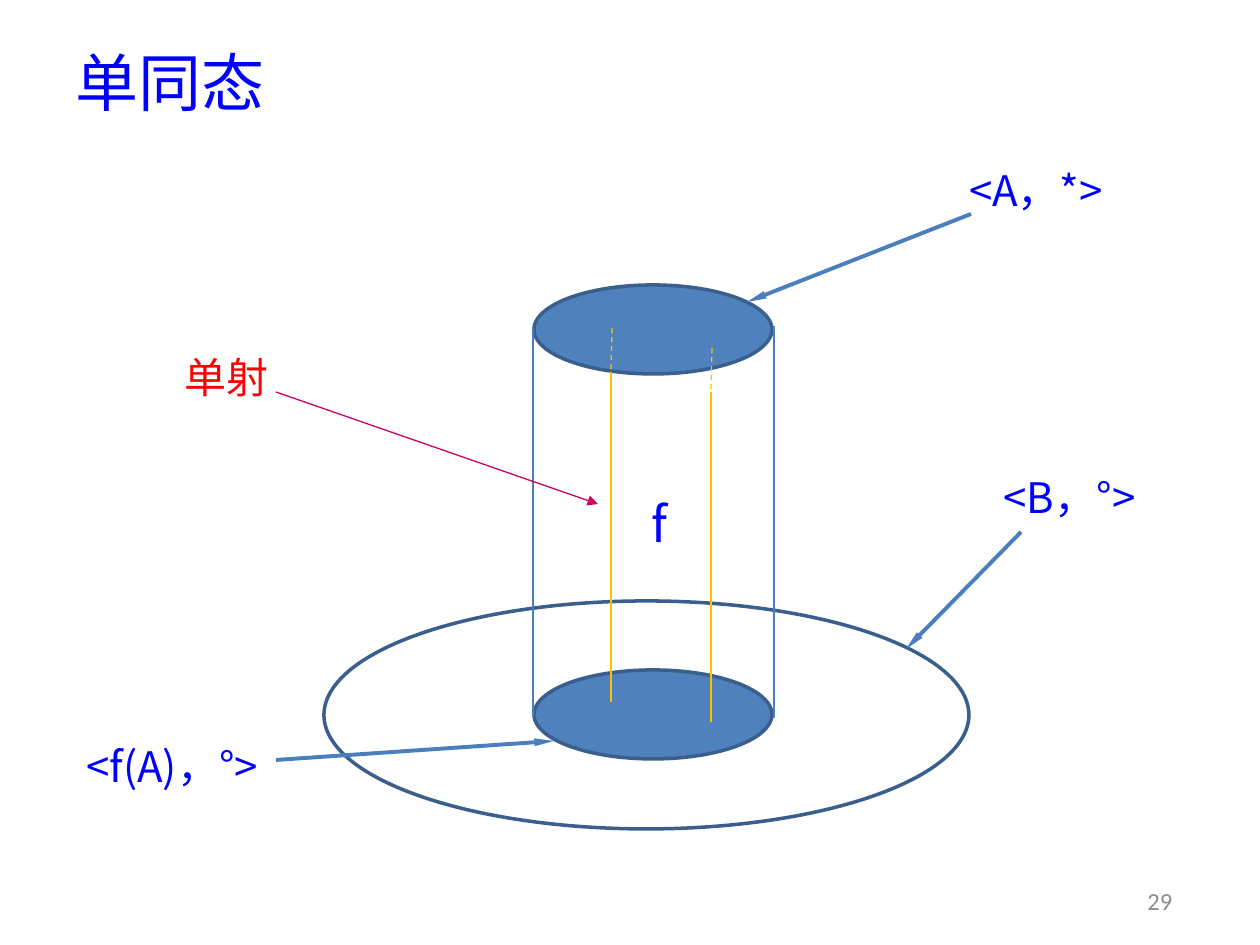
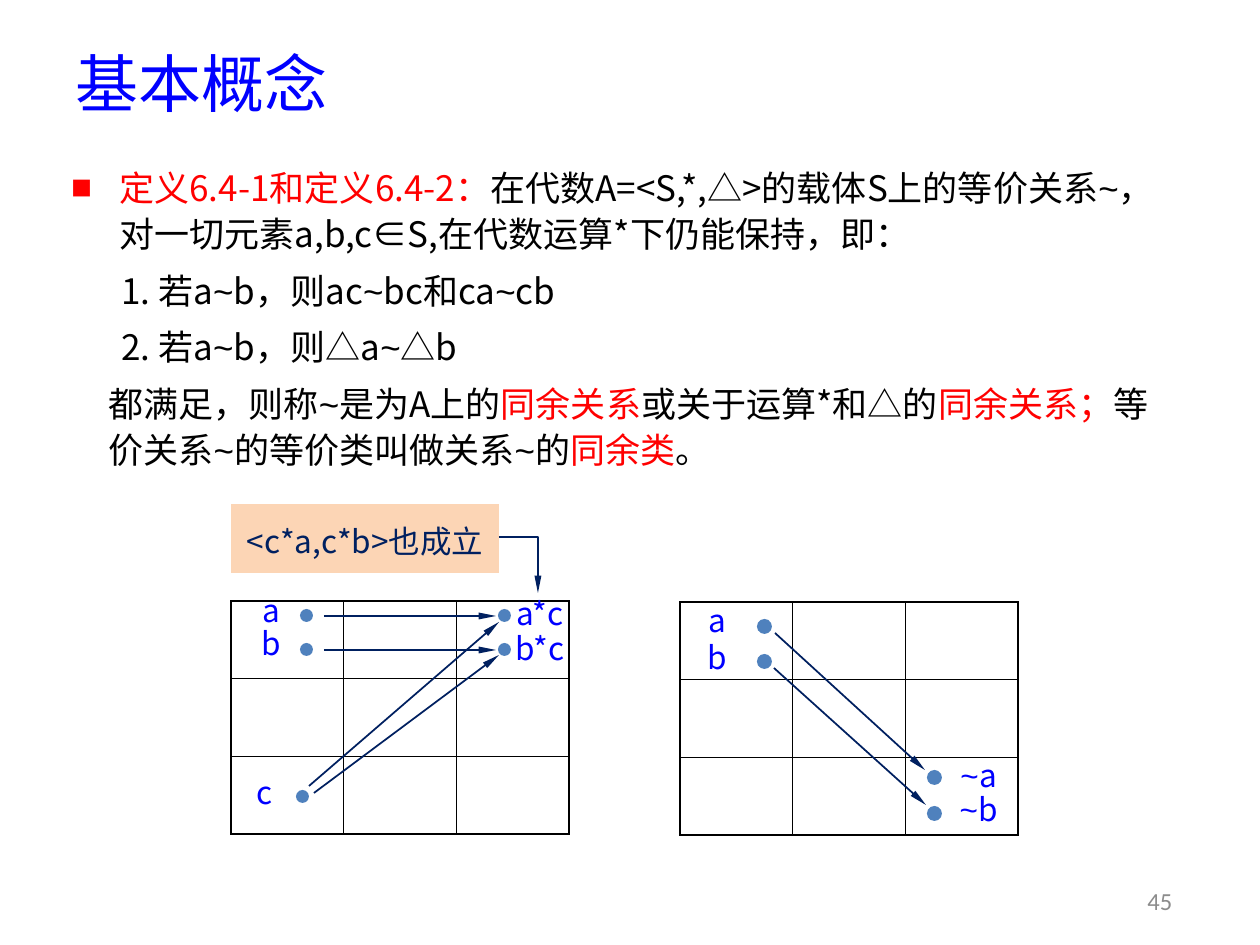
"""Builds two algebra slides: a monomorphism diagram and the congruence relation definition."""
from itertools import groupby

from lxml.etree import SubElement
from pptx import Presentation
from pptx.dml.color import RGBColor
from pptx.enum.dml import MSO_LINE_DASH_STYLE as DASH
from pptx.enum.shapes import MSO_CONNECTOR, MSO_SHAPE as SHAPE
from pptx.enum.text import MSO_ANCHOR as ANCHOR, PP_ALIGN as ALIGN
from pptx.oxml.ns import qn
from pptx.util import Emu, Pt

PX_PER_INCH = 126
FONT = "Noto Sans CJK SC"
BLUE, RED, BLACK, NAVY, GREY = "0000FF", "FF0000", "000000", "002060", "8C8C8C"
FILL, OUTLINE, STEEL, GOLD, PINK, PEACH = "4F81BD", "3A5F8C", "4B7EBC", "FFC000", "CC0066", "FCD5B5"
NARROW_HEAD, PLAIN_HEAD = ("sm", "lg"), ("med", "med")
NUMBER_BOX = (1123, 876, 74, 50)

MORPHISM = {
    "title": ("单同态", (63, 28, 1134, 107)),
    "number": "29",
    "ellipses": [((534, 285, 238, 89), FILL), ((324, 601, 645, 228), None), ((534, 670, 238, 89), FILL)],
    "sides": [((533, 329), (533, 716)), ((774, 326), (774, 718))],
    "labels": [
        ("<f(A)，°>", (38, 731, 268, 69), 24),
        ("<A，*>", (872, 155, 328, 69), 24),
        ("<B，°>", (921, 462, 297, 69), 24),
        ("f", (575, 493, 169, 59), 28),
    ],
    "pointers": [((971, 214), (747, 302)), ((276, 760), (554, 741)), ((1021, 532), (906, 649))],
    "mappings": [(611, 328), (711, 348)],
    "injection": ("单射", (159, 348, 136, 57), (276, 392), (598, 504)),
}

CONGRUENCE = {
    "title": ("基本概念", (63, 39, 1134, 87)),
    "number": "45",
    "body_box": (59, 156, 1134, 324),
    "body": [
        ("square", 48, -48, [
            ("定义6.4-1和定义6.4-2：", RED),
            ("在代数A=<S,*,△>的载体S上的等价关系~，对一切元素a,b,c∈S,在代数运算*下仍能保持，即：", BLACK),
        ]),
        ("number", 87, -37, [("若a~b，则ac~bc和ca~cb", BLACK)]),
        ("number", 87, -37, [("若a~b，则△a~△b", BLACK)]),
        (None, 37, 0, [
            ("都满足，则称~是为A上的", BLACK), ("同余关系", RED),
            ("或关于运算*和△的", BLACK), ("同余关系；", RED),
            ("等价关系~的等价类叫做关系~的", BLACK), ("同余类", RED), ("。", BLACK),
        ]),
    ],
    "grids": [
        {
            "box": (231, 601, 338, 233), "dot": 13, "label": (78, 53),
            "dots": [(300, 609), (300, 643), (296, 790), (498, 609), (498, 643)],
            "labels": [("a", 232, 583), ("b", 232, 616), ("c", 226, 765), ("a*c", 501, 586), ("b*c", 501, 621)],
            "arrows": [((324, 616), (496, 616)), ((324, 650), (496, 650)),
                       ((309, 786), (499, 622)), ((314, 793), (499, 655))],
        },
        {
            "box": (680, 602, 338, 233), "dot": 15, "label": (89, 59),
            "dots": [(757, 619), (757, 654), (927, 770), (927, 806)],
            "labels": [("a", 673, 590), ("b", 673, 627), ("~a", 934, 745), ("~b", 934, 779)],
            "arrows": [((775, 633), (925, 770)), ((774, 668), (926, 805))],
        },
    ],
    "callout": ("<c*a,c*b>也成立", (231, 504, 268, 69)),
    "elbow": [(499, 537), (538, 537), (538, 593)],
}


def px(*lengths):
    return [Emu(round(length * 914400 / PX_PER_INCH)) for length in lengths]


def rgb(color):
    return RGBColor.from_string(color)


def add_run(paragraph, text, size, color, font=FONT):
    run = paragraph.add_run()
    run.text = text
    run.font.size, run.font.name = Pt(size), font
    run.font.color.rgb = rgb(color)
    properties = run.font._element
    properties.set("lang", "zh-CN")
    SubElement(properties, qn("a:ea"), typeface=FONT)


def add_text(paragraph, text, size, color, tilde_font="Arial"):
    for is_tilde, letters in groupby(text, lambda letter: letter == "~"):
        add_run(paragraph, "".join(letters), size, color, tilde_font if is_tilde else FONT)


def add_box(slide, box, anchor=ANCHOR.MIDDLE, inset=None):
    frame = slide.shapes.add_textbox(*px(*box)).text_frame
    frame.word_wrap = True
    frame.vertical_anchor = anchor
    if inset is not None:
        frame.margin_left = frame.margin_right = frame.margin_top = frame.margin_bottom = inset
    return frame


def add_label(slide, text, box, size, color=BLUE):
    paragraph = add_box(slide, box, inset=0).paragraphs[0]
    paragraph.alignment = ALIGN.CENTER
    add_text(paragraph, text, size, color, "Courier New")


def add_shape(slide, kind, box, fill, outline=None):
    shape = slide.shapes.add_shape(kind, *px(*box))
    shape.shadow.inherit = False
    if fill:
        shape.fill.solid()
        shape.fill.fore_color.rgb = rgb(fill)
    else:
        shape.fill.background()
    if outline:
        style_line(shape.line, outline, 2)
    else:
        shape.line.fill.background()
    return shape


def style_line(line, color, width, head=None):
    line.color.rgb = rgb(color)
    line.width = Pt(width)
    if head:
        SubElement(line._get_or_add_ln(), qn("a:tailEnd"), type="triangle", w=head[0], len=head[1])


def add_line(slide, start, end, color, width=0.75, head=None, dashed=False):
    line = slide.shapes.add_connector(MSO_CONNECTOR.STRAIGHT, *px(*start, *end))
    if dashed:
        line.line.dash_style = DASH.DASH
    style_line(line.line, color, width, head)
    SubElement(line._element.spPr, qn("a:effectLst"))


def add_grid(slide, box, count=3):
    table = slide.shapes.add_table(count, count, *px(*box)).table
    table.first_row = table.horz_banding = False
    width, height = px(box[2] / count, box[3] / count)
    for column in table.columns:
        column.width = width
    for row in table.rows:
        row.height = height
    for cell in table.iter_cells():
        properties = cell._tc.get_or_add_tcPr()
        for side in ("lnL", "lnR", "lnT", "lnB"):
            border = SubElement(properties, qn(f"a:{side}"), w=str(Pt(1)))
            SubElement(SubElement(border, qn("a:solidFill")), qn("a:srgbClr"), val=BLACK)
        cell.fill.background()


def add_bullet(paragraph, kind, left, indent):
    properties = paragraph._p.get_or_add_pPr()
    properties.set("marL", str(px(left)[0]))
    properties.set("indent", str(px(indent)[0]))
    if kind == "square":
        SubElement(properties, qn("a:buSzPct"), val="60000")
        SubElement(properties, qn("a:buFont"), typeface=FONT)
        SubElement(properties, qn("a:buChar"), char="■")
    elif kind == "number":
        SubElement(properties, qn("a:buFont"), typeface=FONT)
        SubElement(properties, qn("a:buAutoNum"), type="arabicPeriod")
    else:
        SubElement(properties, qn("a:buNone"))


def start_slide(presentation, content):
    slide = presentation.slides.add_slide(presentation.slide_layouts[5])
    text, box = content["title"]
    title = slide.shapes.title
    title.left, title.top, title.width, title.height = px(*box)
    title.text_frame.vertical_anchor = ANCHOR.MIDDLE
    paragraph = title.text_frame.paragraphs[0]
    paragraph.alignment = ALIGN.LEFT
    add_run(paragraph, text, 36, BLUE)
    number = add_box(slide, NUMBER_BOX).paragraphs[0]
    number.alignment = ALIGN.CENTER
    add_run(number, content["number"], 14, GREY, "Calibri")
    return slide


def build_morphism(presentation, content):
    slide = start_slide(presentation, content)
    for box, fill in content["ellipses"]:
        add_shape(slide, SHAPE.OVAL, box, fill, OUTLINE)
    for start, end in content["sides"]:
        add_line(slide, start, end, STEEL)
    for text, box, size in content["labels"]:
        add_label(slide, text, box, size)
    for start, end in content["pointers"]:
        add_line(slide, start, end, STEEL, 2.25, NARROW_HEAD)
    for x, top in content["mappings"]:
        add_line(slide, (x, top + 44), (x, top + 374), GOLD)
        add_line(slide, (x + 1, top), (x, top + 43), GOLD, dashed=True)
    text, box, start, end = content["injection"]
    add_label(slide, text, box, 24, RED)
    add_line(slide, start, end, PINK, head=PLAIN_HEAD)


def build_congruence(presentation, content):
    slide = start_slide(presentation, content)
    body = add_box(slide, content["body_box"], ANCHOR.TOP)
    for index, (bullet, left, indent, runs) in enumerate(content["body"]):
        paragraph = body.add_paragraph() if index else body.paragraphs[0]
        paragraph.line_spacing, paragraph.space_after = 1.1, Pt(6)
        add_bullet(paragraph, bullet, left, indent)
        for text, color in runs:
            add_text(paragraph, text, 20, color)

    for grid in content["grids"]:
        add_grid(slide, grid["box"])
        for x, y in grid["dots"]:
            add_shape(slide, SHAPE.OVAL, (x, y, grid["dot"], grid["dot"]), FILL)
        for text, x, y in grid["labels"]:
            add_label(slide, text, (x, y, *grid["label"]), 18)
        for start, end in grid["arrows"]:
            add_line(slide, start, end, NAVY, 1, NARROW_HEAD)

    text, box = content["callout"]
    frame = add_shape(slide, SHAPE.RECTANGLE, box, PEACH).text_frame
    frame.word_wrap, frame.vertical_anchor = True, ANCHOR.MIDDLE
    paragraph = frame.paragraphs[0]
    paragraph.alignment = ALIGN.CENTER
    paragraph.line_spacing, paragraph.space_before = 1.1, Pt(6)
    add_run(paragraph, text, 18, NAVY)

    first, *others = [px(*point) for point in content["elbow"]]
    builder = slide.shapes.build_freeform(*first)
    builder.add_line_segments(others, close=False)
    elbow = builder.convert_to_shape()
    elbow.shadow.inherit = False
    elbow.fill.background()
    style_line(elbow.line, NAVY, 1, NARROW_HEAD)


def main():
    presentation = Presentation()
    presentation.slide_width, presentation.slide_height = px(1260, 945)
    build_morphism(presentation, MORPHISM)
    build_congruence(presentation, CONGRUENCE)
    presentation.save("out.pptx")


if __name__ == "__main__":
    main()
